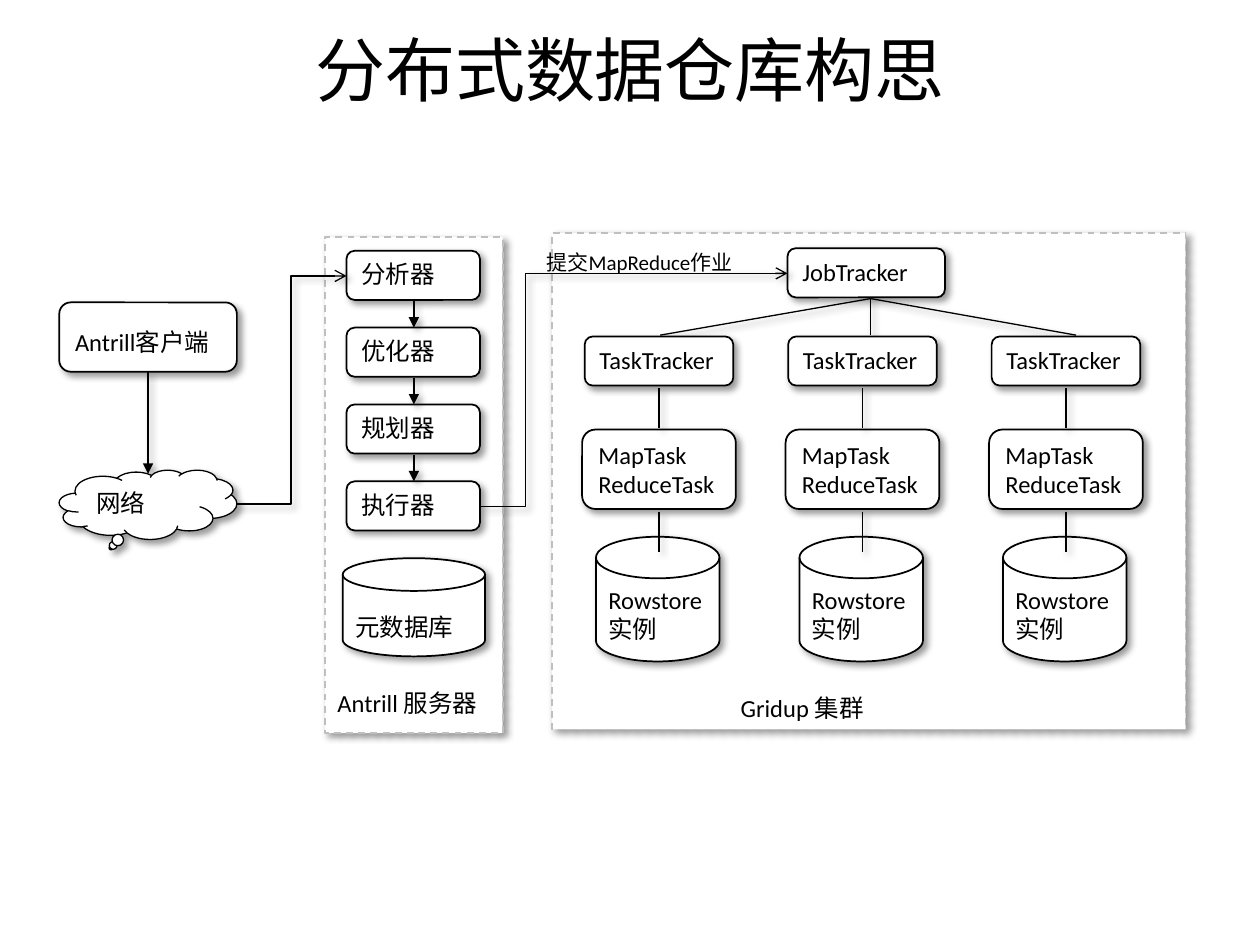
from lxml.etree import SubElement
from pptx import Presentation
from pptx.dml.color import RGBColor
from pptx.enum.dml import MSO_LINE
from pptx.enum.shapes import MSO_CONNECTOR as CONNECTOR, MSO_SHAPE as SHAPE
from pptx.enum.text import MSO_ANCHOR as ANCHOR, PP_ALIGN as ALIGN
from pptx.oxml.ns import qn
from pptx.util import Inches, Pt

BLACK, WHITE, GREY = "000000", "FFFFFF", "BFBFBF"


def color(hex_string):
    return RGBColor.from_string(hex_string)


def box_lengths(box):
    return [Inches(value) for value in box]


def add_shadow(shape):
    """Soft shadow down to the right: 4 pt blur, 3 pt away, 40 % black."""
    effects = SubElement(shape._element.spPr, qn("a:effectLst"))
    shadow = SubElement(effects, qn("a:outerShdw"), blurRad=str(Pt(4)), dist=str(Pt(3)),
                        dir="2700000", algn="tl", rotWithShape="0")
    black = SubElement(shadow, qn("a:srgbClr"), val=BLACK)
    SubElement(black, qn("a:alpha"), val="40000")


def write(shape, text, size=14, font="Calibri", anchor=ANCHOR.TOP, wrap=True,
          align=ALIGN.LEFT, spacing=None):
    frame = shape.text_frame
    frame.text = text
    frame.word_wrap = wrap
    frame.vertical_anchor = anchor
    formats = {"size": Pt(size), "name": font}
    for paragraph in frame.paragraphs:
        paragraph.alignment = align
        paragraph.line_spacing = spacing
        for run in paragraph.runs:
            for name, value in formats.items():
                setattr(run.font, name, value)
            run.font.color.rgb = color(BLACK)


def add_label(slide, box, text, **formats):
    write(slide.shapes.add_textbox(*box_lengths(box)), text, **formats)


def add_node(slide, kind, box, text="", line=BLACK, width=1, dash=None, **formats):
    shape = slide.shapes.add_shape(kind, *box_lengths(box))
    shape.fill.solid()
    shape.fill.fore_color.rgb = color(WHITE)
    shape.line.color.rgb = color(line)
    shape.line.width = Pt(width)
    shape.line.dash_style = dash
    add_shadow(shape)
    if text:
        write(shape, text, **formats)


def add_frame(slide, box):
    add_node(slide, SHAPE.RECTANGLE, box, line=GREY, dash=MSO_LINE.DASH)


def add_link(slide, start, end, head=None, width=0.75, bend=None):
    """Straight line, or an elbow that turns at the share `bend` of its width."""
    kind = CONNECTOR.STRAIGHT if bend is None else CONNECTOR.ELBOW
    link = slide.shapes.add_connector(kind, *box_lengths(start + end))
    link.line.color.rgb = color(BLACK)
    link.line.width = Pt(width)
    if head:
        SubElement(link.line._get_or_add_ln(), qn("a:tailEnd"), type=head)
    if bend is not None:
        guides = link._element.spPr.find(qn("a:prstGeom")).get_or_add_avLst()
        SubElement(guides, qn("a:gd"), name="adj1", fmla=f"val {round(bend * 100000)}")
    add_shadow(link)


def add_title(slide, box, text):
    title = slide.shapes.title
    for name, value in zip(("left", "top", "width", "height"), box_lengths(box)):
        setattr(title, name, value)
    write(title, text, size=40, font="Arial", anchor=ANCHOR.MIDDLE, align=ALIGN.CENTER)


def add_worker(slide, left, top):
    """One column: tracker, tasks and database, joined by lines."""
    center = left + 0.7
    add_node(slide, SHAPE.ROUNDED_RECTANGLE, (left + 0.11, top + 0.1, 1.18, 0.39), "TaskTracker")
    add_node(slide, SHAPE.FLOWCHART_MAGNETIC_DISK, (left + 0.2, top + 1.69, 0.98, 0.99),
             "Rowstore\n实例")
    add_node(slide, SHAPE.ROUNDED_RECTANGLE, (left + 0.09, top + 0.84, 1.22, 0.63),
             "MapTask\nReduceTask")
    for line_top in (top + 0.51, top + 1.49):
        add_link(slide, (center, line_top), (center, line_top + 0.32))


def add_cluster(slide, box):
    left, top, width, height = box
    add_frame(slide, box)
    add_label(slide, (left + 1.4, top + 3.6, 1.87, 0.47), "Gridup 集群")
    add_node(slide, SHAPE.ROUNDED_RECTANGLE, (left + 1.87, top + 0.12, 1.25, 0.39), "JobTracker")
    # Job tracker to the three workers
    for offset in (0.86, 2.53, 4.16):
        add_link(slide, (left + 2.53, top + 0.52), (left + offset, top + 0.81))
    for column in range(3):
        add_worker(slide, left + 0.15 + column * 1.615, top + 0.72)
    add_label(slide, (left - 0.14, top + 0.08, 1.78, 0.35), "提交MapReduce作业",
              size=12, align=ALIGN.JUSTIFY)


def add_server(slide, box):
    left, top, width, height = box
    center, step, node_height = left + width / 2, 0.61, 0.39
    add_frame(slide, box)
    add_label(slide, (left, top + 3.53, width, 0.35), "Antrill 服务器")
    add_node(slide, SHAPE.FLOWCHART_MAGNETIC_DISK, (left + 0.14, top + 2.55, 1.13, 0.78),
             "元数据库", spacing=1.5)
    # Query stages, each leading to the next
    for index, stage in enumerate(("分析器", "优化器", "规划器", "执行器")):
        stage_top = top + 0.11 + index * step
        add_node(slide, SHAPE.ROUNDED_RECTANGLE, (left + 0.17, stage_top, 1.06, node_height), stage)
        if index:
            add_link(slide, (center, stage_top - step + node_height + 0.01),
                     (center, stage_top), head="triangle")


def add_client(slide, box):
    left, top, width, height = box
    node_height = 0.55
    add_node(slide, SHAPE.ROUNDED_RECTANGLE, (left, top, width, node_height),
             "Antrill客户端", spacing=1.5)
    add_link(slide, (left + width / 2, top + node_height),
             (left + width / 2, top + 1.36), head="triangle", width=1)
    add_node(slide, SHAPE.CLOUD_CALLOUT, (left, top + height - node_height, width, node_height),
             "网络", width=0.75, font="Arial", anchor=ANCHOR.MIDDLE, wrap=False)


def main():
    presentation = Presentation()
    presentation.slide_width, presentation.slide_height = Inches(10), Inches(7.5)
    slide = presentation.slides.add_slide(presentation.slide_layouts[5])

    add_title(slide, (0.5, -0.08, 9, 1.25), "分布式数据仓库构思")
    add_cluster(slide, (4.38, 1.85, 5.03, 3.94))
    add_server(slide, (2.58, 1.88, 1.41, 3.94))
    add_client(slide, (0.47, 2.4, 1.41, 1.88))
    # Links between the regions
    add_link(slide, (3.81, 4.02), (6.25, 2.17), head="arrow", bend=0.147)
    add_link(slide, (1.87, 4), (2.75, 2.19), head="arrow", bend=0.5)

    presentation.save("out.pptx")


if __name__ == "__main__":
    main()
